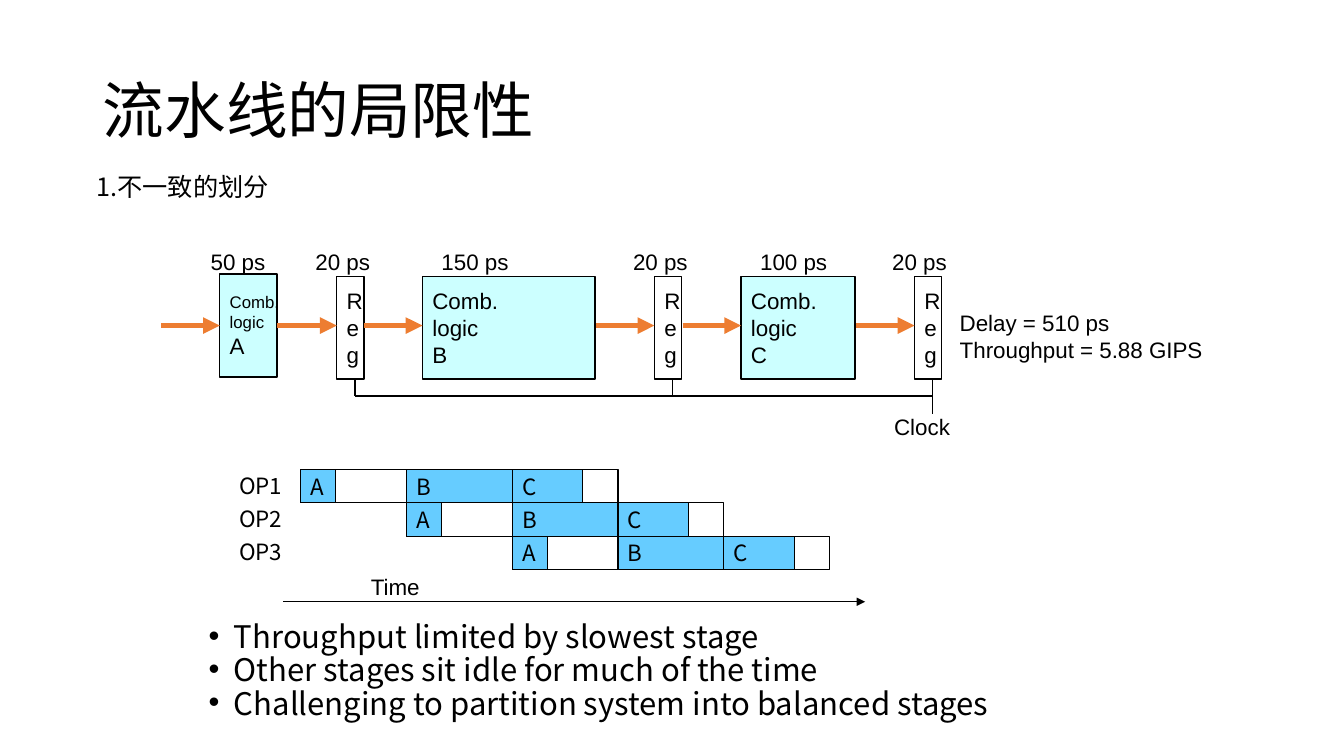
"""Build the slide on the limits of pipelining with uneven stages."""
from dataclasses import dataclass

from lxml import etree
from pptx import Presentation
from pptx.dml.color import RGBColor
from pptx.enum.shapes import MSO_CONNECTOR, MSO_SHAPE
from pptx.enum.text import MSO_ANCHOR, MSO_AUTO_SIZE, PP_ALIGN
from pptx.oxml.ns import qn
from pptx.util import Inches, Pt

RECT = MSO_SHAPE.RECTANGLE
STRAIGHT = MSO_CONNECTOR.STRAIGHT
TOP, MIDDLE = MSO_ANCHOR.TOP, MSO_ANCHOR.MIDDLE
LEFT, RIGHT = PP_ALIGN.LEFT, PP_ALIGN.RIGHT
NO_FIT, GROW = MSO_AUTO_SIZE.NONE, MSO_AUTO_SIZE.SHAPE_TO_FIT_TEXT

LATIN, CJK = "Arial", "Noto Sans CJK SC"
BLACK, WHITE, ORANGE, CYAN, BLUE = "000000", "FFFFFF", "ED7D31", "CCFFFF", "66CCFF"
BLOCK_Y, BLOCK_H, ARROW_Y, ARROW_LEN = 2.74, 1.02, 3.23, 0.58
CLOCK_Y, CLOCK_DX = 3.93, 0.18
OP_X, OP_Y, OP_STEP, OP_H = 2.98, 4.66, 1.05, 0.33


@dataclass
class Block:
    """A stage or register of the pipeline, with the delay shown above it."""
    x: float
    w: float
    lines: list[str]
    delay: str
    delay_x: float
    delay_w: float
    fill: str = CYAN
    y: float = BLOCK_Y
    sizes: tuple = (16, 16, 16)
    wrap_delay: bool = False

    @property
    def is_reg(self) -> bool:
        """Tell whether this block is a clocked register."""
        return self.fill == WHITE


@dataclass
class Stage:
    """One busy part of an operation in the timing diagram."""
    name: str
    w: float
    framed: bool


def reg(x: float, delay_x: float) -> Block:
    """Describe a register at x."""
    return Block(x, 0.27, list("Reg"), "20 ps", delay_x, 0.85, WHITE)


BLOCKS = [
    Block(2.18, 0.57, ["Comb.", "logic", "A"], "50 ps", 1.99, 0.95,
          y=2.72, sizes=(12, 12, 16), wrap_delay=True),
    reg(3.34, 3.03),
    Block(4.19, 1.71, ["Comb.", "logic", "B"], "150 ps", 4.28, 1.46, wrap_delay=True),
    reg(6.49, 6.18),
    Block(7.35, 1.13, ["Comb.", "logic", "C"], "100 ps", 7.44, 0.99),
    reg(9.07, 8.75),
]
STAGES = [Stage("A", 0.35, True), Stage("B", 1.05, False), Stage("C", 0.7, True)]
BULLETS = [
    "Throughput limited by slowest stage",
    "Other stages sit idle for much of the time",
    "Challenging to partition system into balanced stages",
]


def rgb(color: str) -> RGBColor:
    """Turn a hex string into a colour."""
    return RGBColor.from_string(color)


def write(tf, lines: list[str], *, sizes=(16,), font=LATIN, align=LEFT, anchor=TOP,
          wrap=False, fit=NO_FIT, spacing=None) -> None:
    """Fill a text frame with one paragraph a line; the last size repeats."""
    tf.word_wrap = wrap
    tf.auto_size = fit
    tf.vertical_anchor = anchor
    for i, line in enumerate(lines):
        p = tf.paragraphs[0] if i == 0 else tf.add_paragraph()
        p.alignment = align
        if spacing:
            p.line_spacing = spacing
        r = p.add_run()
        r.text = line
        r.font.size = Pt(sizes[min(i, len(sizes) - 1)])
        r.font.name = font
        r.font.color.rgb = rgb(BLACK)
        etree.SubElement(r._r.get_or_add_rPr(), qn("a:ea"), typeface=font)


def place(sp, x: float, y: float, w: float, h: float) -> None:
    """Move and size a placeholder."""
    sp.left, sp.top, sp.width, sp.height = (Inches(v) for v in (x, y, w, h))


def add_label(s, x: float, y: float, w: float, h: float, lines: list[str], **fmt) -> None:
    """Add a text box that grows with its text."""
    sp = s.shapes.add_textbox(Inches(x), Inches(y), Inches(w), Inches(h))
    write(sp.text_frame, lines, fit=GROW, **fmt)


def add_rect(s, x: float, y: float, w: float, h: float, lines=(), *,
             fill: str = "", line: float = 0, **fmt):
    """Add a rectangle with optional fill, outline and text."""
    sp = s.shapes.add_shape(RECT, Inches(x), Inches(y), Inches(w), Inches(h))
    sp.shadow.inherit = False
    if fill:
        sp.fill.solid()
        sp.fill.fore_color.rgb = rgb(fill)
    else:
        sp.fill.background()
    if line:
        sp.line.color.rgb = rgb(BLACK)
        sp.line.width = Pt(line)
    else:
        sp.line.fill.background()
    if lines:
        write(sp.text_frame, lines, anchor=MIDDLE, **fmt)
    return sp


def add_line(s, x1: float, y1: float, x2: float, y2: float, *,
             color: str = BLACK, width: float = 1, arrow: bool = False):
    """Add a straight line, with an arrowhead at its end if asked."""
    c = s.shapes.add_connector(STRAIGHT, Inches(x1), Inches(y1), Inches(x2), Inches(y2))
    c.line.color.rgb = rgb(color)
    c.line.width = Pt(width)
    if arrow:
        etree.SubElement(c.line._get_or_add_ln(), qn("a:tailEnd"), type="triangle")
    etree.SubElement(c._element.spPr, qn("a:effectLst"))
    return c


def add_text(s) -> None:
    """Fill the title, the subtitle and the bullet list."""
    title, body = s.shapes.title, s.placeholders[1]
    place(title, 0.92, 0.4, 11.5, 1.45)
    write(title.text_frame, ["流水线的局限性"], sizes=(44,), font=CJK,
          anchor=MIDDLE, wrap=True, spacing=0.9)
    add_label(s, 0.86, 1.65, 3.04, 0.4, ["1.不一致的划分"], sizes=(18,), font=CJK, wrap=True)
    place(body, 1.47, 6.18, 8.81, 1.11)
    write(body.text_frame, BULLETS, sizes=(22.2,), font=CJK, wrap=True, spacing=0.7)
    for p in body.text_frame.paragraphs:
        p.level = 1
        p.space_before = Pt(5)
        pPr = p._p.get_or_add_pPr()
        pPr.set("marL", str(Inches(0.75)))
        pPr.set("indent", str(Inches(-0.25)))
        etree.SubElement(pPr, qn("a:buFont"), typeface=LATIN)
        etree.SubElement(pPr, qn("a:buChar"), char="•")


def add_pipeline(s) -> None:
    """Draw the blocks, the arrows between them and the clock."""
    shapes = [add_rect(s, b.x, b.y, b.w, BLOCK_H, b.lines, fill=b.fill, line=1,
                       sizes=b.sizes) for b in BLOCKS]
    arrows = [add_line(s, b.x - ARROW_LEN, ARROW_Y, b.x, ARROW_Y,
                       color=ORANGE, width=4, arrow=True) for b in BLOCKS]
    arrows[0].end_connect(shapes[0], 1)
    arrows[1].begin_connect(shapes[0], 3)
    for b in BLOCKS:
        add_label(s, b.delay_x, 2.41, b.delay_w, 0.27, [b.delay], wrap=b.wrap_delay)
    taps = [b.x + CLOCK_DX for b in BLOCKS if b.is_reg]
    for x in taps:
        add_line(s, x, BLOCK_Y + BLOCK_H, x, 4.11 if x == taps[-1] else CLOCK_Y)
    add_line(s, taps[0], CLOCK_Y, taps[-1], CLOCK_Y)
    add_label(s, 8.77, 4.05, 0.86, 0.27, ["Clock"])
    add_label(s, 9.42, 3.02, 3.12, 0.46, ["Delay = 510 ps", "Throughput = 5.88 GIPS"])


def add_timing(s) -> None:
    """Draw the three overlapping operations and the time axis."""
    add_line(s, 2.81, 5.97, 8.58, 5.97, arrow=True)
    add_label(s, 3.58, 5.64, 0.73, 0.36, ["Time"])
    for op in range(3):
        y = OP_Y + op * OP_H
        add_rect(s, 1.94, y - 0.01, 0.96, OP_H, [f"OP{op + 1}"], fill=WHITE,
                 font=CJK, align=RIGHT)
        for i, stage in enumerate(STAGES):
            x = OP_X + (op + i) * OP_STEP
            add_rect(s, x, y, stage.w, OP_H, [stage.name], fill=BLUE, line=0.75, font=CJK)
            if stage.framed:
                add_rect(s, x, y, OP_STEP, OP_H, line=0.75)


def main() -> None:
    """Build and save the slide."""
    prs = Presentation()
    prs.slide_width, prs.slide_height = Inches(13.33), Inches(7.5)
    s = prs.slides.add_slide(prs.slide_layouts[1])
    add_text(s)
    add_pipeline(s)
    add_timing(s)
    prs.save("out.pptx")


if __name__ == "__main__":
    main()
